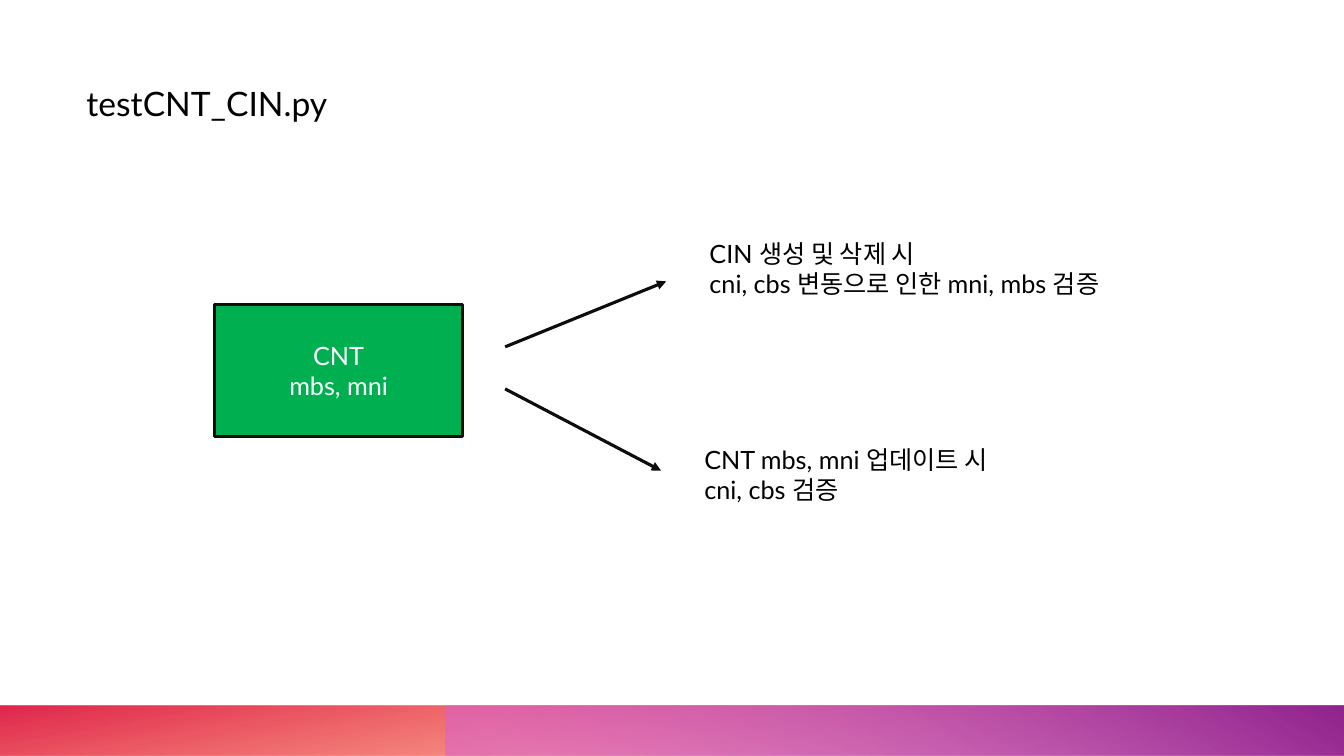
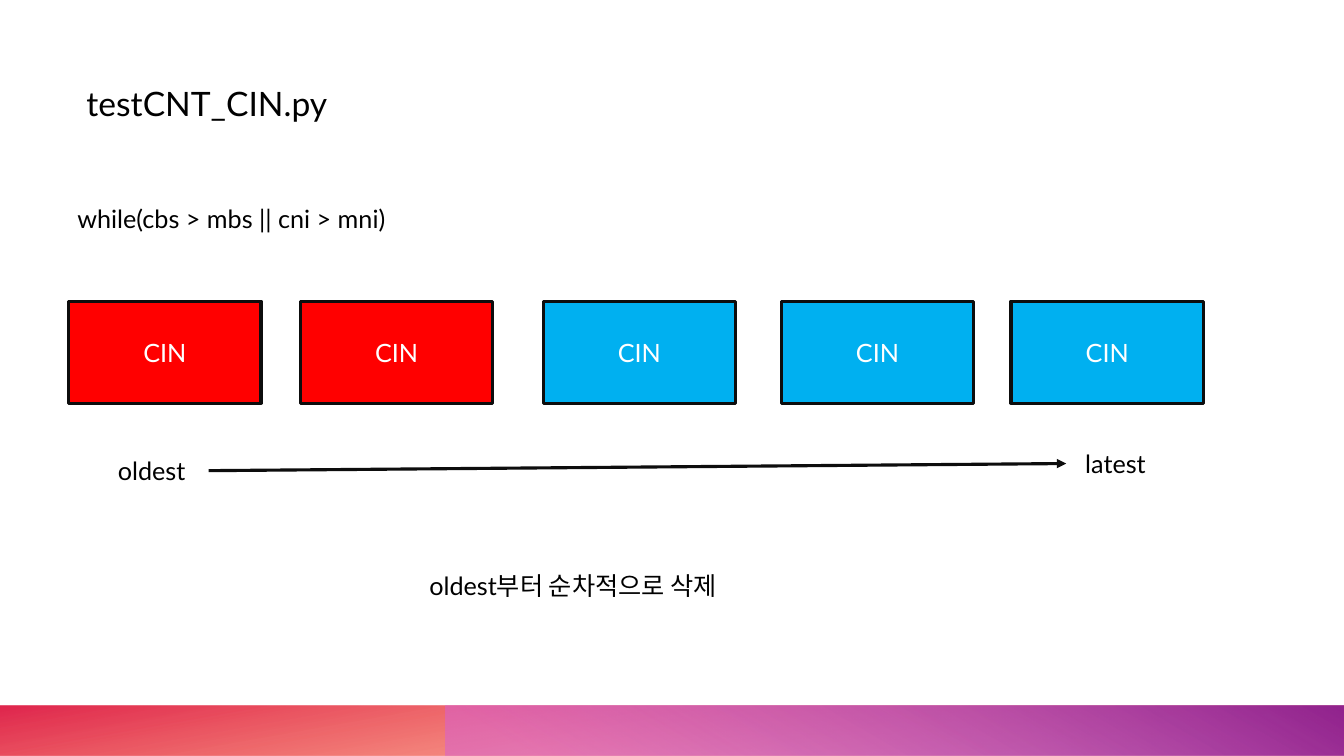
from lxml.etree import SubElement
from pptx import Presentation
from pptx.dml.color import RGBColor
from pptx.enum.shapes import MSO_CONNECTOR, MSO_SHAPE
from pptx.enum.text import MSO_ANCHOR, PP_ALIGN
from pptx.oxml.ns import qn
from pptx.util import Cm, Pt

COLORS = {
    "text": "000000",
    "white": "FFFFFF",
    "line": "0D0D0D",
    "green": "00B050",
    "red": "FF0000",
    "blue": "00B0F0",
    "orange": "FE4A00",
    "crimson": "DA002F",
    "pink": "D861D4",
    "purple": "92248E",
}
FONT = "Lato"
WIDTH, HEIGHT, BAND = 33.87, 19.05, 1.27


def rgb(name):
    return RGBColor.from_string(COLORS[name])


def write(tf, text, size=18, color="text", align=PP_ALIGN.LEFT, anchor=MSO_ANCHOR.TOP):
    tf.word_wrap = True
    tf.vertical_anchor = anchor
    for i, line in enumerate(text.split("\n")):
        p = tf.paragraphs[0] if i == 0 else tf.add_paragraph()
        p.alignment = align
        r = p.add_run()
        r.text = line
        r.font.name = FONT
        r.font.size = Pt(size)
        r.font.color.rgb = rgb(color)


class Deck:
    """Holds the shared style and the current slide, with lengths in centimetres."""

    def __init__(self):
        self.prs = Presentation()
        self.prs.slide_width, self.prs.slide_height = Cm(WIDTH), Cm(HEIGHT)
        self.s = None

    def slide(self, title):
        self.s = self.prs.slides.add_slide(self.prs.slide_layouts[6])
        self.band(0, 100, [(0.14, "orange", 28), (1, "crimson", 85)])
        self.band(11.22, 60, [(0.09, "pink", 55), (0.99, "purple", 100)])
        self.text(title, 1.93, 1.96, 7.62, 1.27, size=24)

    def rect(self, x, y, w, h):
        sp = self.s.shapes.add_shape(MSO_SHAPE.RECTANGLE, Cm(x), Cm(y), Cm(w), Cm(h))
        sp.shadow.inherit = False
        return sp

    def band(self, x, angle, stops):
        sp = self.rect(x, HEIGHT - BAND, WIDTH - x, BAND)
        sp.line.fill.background()
        sp.fill.gradient()
        sp.fill.gradient_angle = angle
        for stop, (position, color, opacity) in zip(sp.fill.gradient_stops, stops):
            stop.position = position
            stop.color.rgb = rgb(color)
        for clr, (_, _, opacity) in zip(sp._element.spPr.iter(qn("a:srgbClr")), stops):
            SubElement(clr, qn("a:alpha"), val=str(opacity * 1000))

    def box(self, text, x, y, w, h, fill):
        sp = self.rect(x, y, w, h)
        sp.fill.solid()
        sp.fill.fore_color.rgb = rgb(fill)
        sp.line.color.rgb = rgb("line")
        sp.line.width = Pt(2.25)
        write(sp.text_frame, text, color="white", align=PP_ALIGN.CENTER, anchor=MSO_ANCHOR.MIDDLE)

    def text(self, text, x, y, w, h=1.02, size=18):
        sp = self.s.shapes.add_textbox(Cm(x), Cm(y), Cm(w), Cm(h))
        write(sp.text_frame, text, size=size)

    def arrow(self, x1, y1, x2, y2):
        sp = self.s.shapes.add_connector(MSO_CONNECTOR.STRAIGHT, Cm(x1), Cm(y1), Cm(x2), Cm(y2))
        sp.line.color.rgb = rgb("line")
        sp.line.width = Pt(2.25)
        SubElement(sp.line._get_or_add_ln(), qn("a:tailEnd"), type="triangle")
        SubElement(sp._element.spPr, qn("a:effectLst"))


def checks(deck):
    deck.slide("testCNT_CIN.py")
    deck.box("CNT\nmbs, mni", 5.41, 7.67, 6.25, 3.33, "green")
    deck.arrow(12.73, 9.8, 16.66, 11.86)
    deck.arrow(12.73, 8.74, 16.79, 7.09)
    deck.text("CIN 생성 및 삭제 시\ncni, cbs 변동으로 인한 mni, mbs 검증", 17.63, 5.87, 15, 1.8)
    deck.text("CNT mbs, mni 업데이트 시\ncni, cbs 검증", 17.5, 11.07, 15, 1.8)


def deletion(deck):
    deck.slide("testCNT_CIN.py")
    deck.text("while(cbs > mbs || cni > mni)", 1.7, 5, 15)
    fills = ["red"] * 2 + ["blue"] * 3
    for x, fill in zip((1.73, 7.57, 13.69, 19.69, 25.48), fills):
        deck.box("CIN", x, 7.59, 4.85, 2.57, fill)
    deck.arrow(5.26, 11.86, 26.87, 11.68)
    deck.text("latest", 27.1, 11.18, 4)
    deck.text("oldest", 2.72, 11.35, 4)
    deck.text("oldest부터 순차적으로 삭제", 10.57, 14.25, 15)


def main():
    deck = Deck()
    checks(deck)
    deletion(deck)
    deck.prs.save("out.pptx")


if __name__ == "__main__":
    main()
